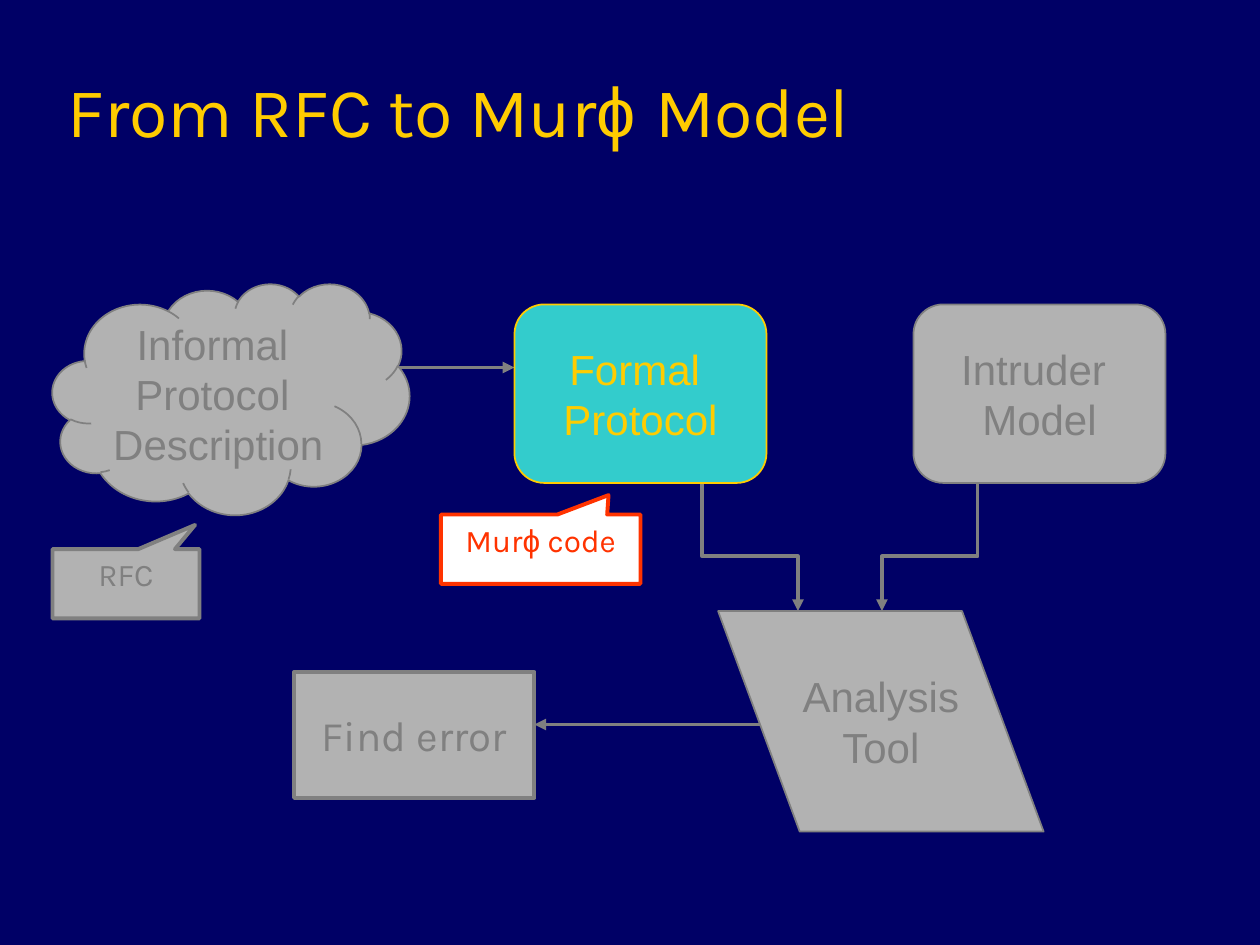
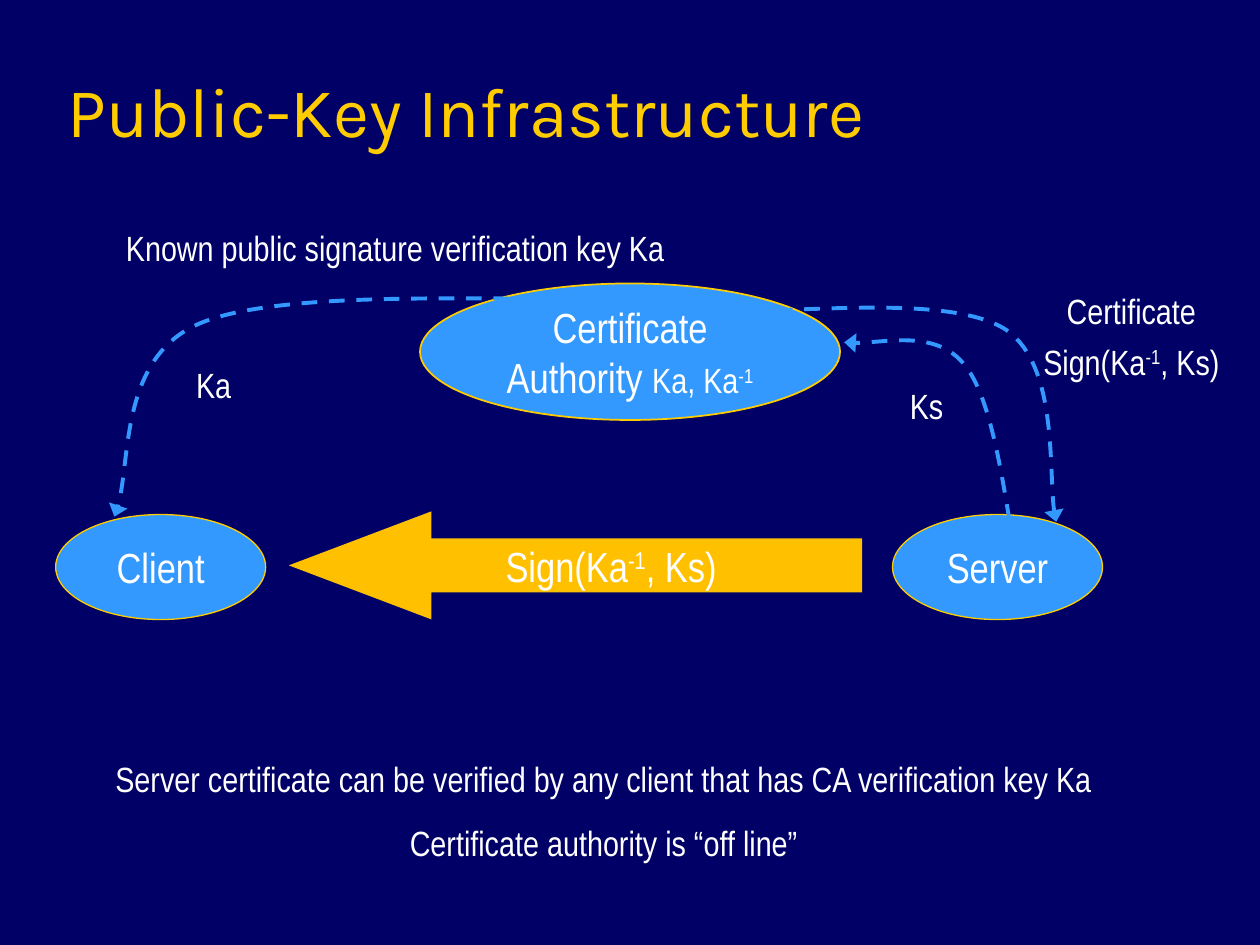
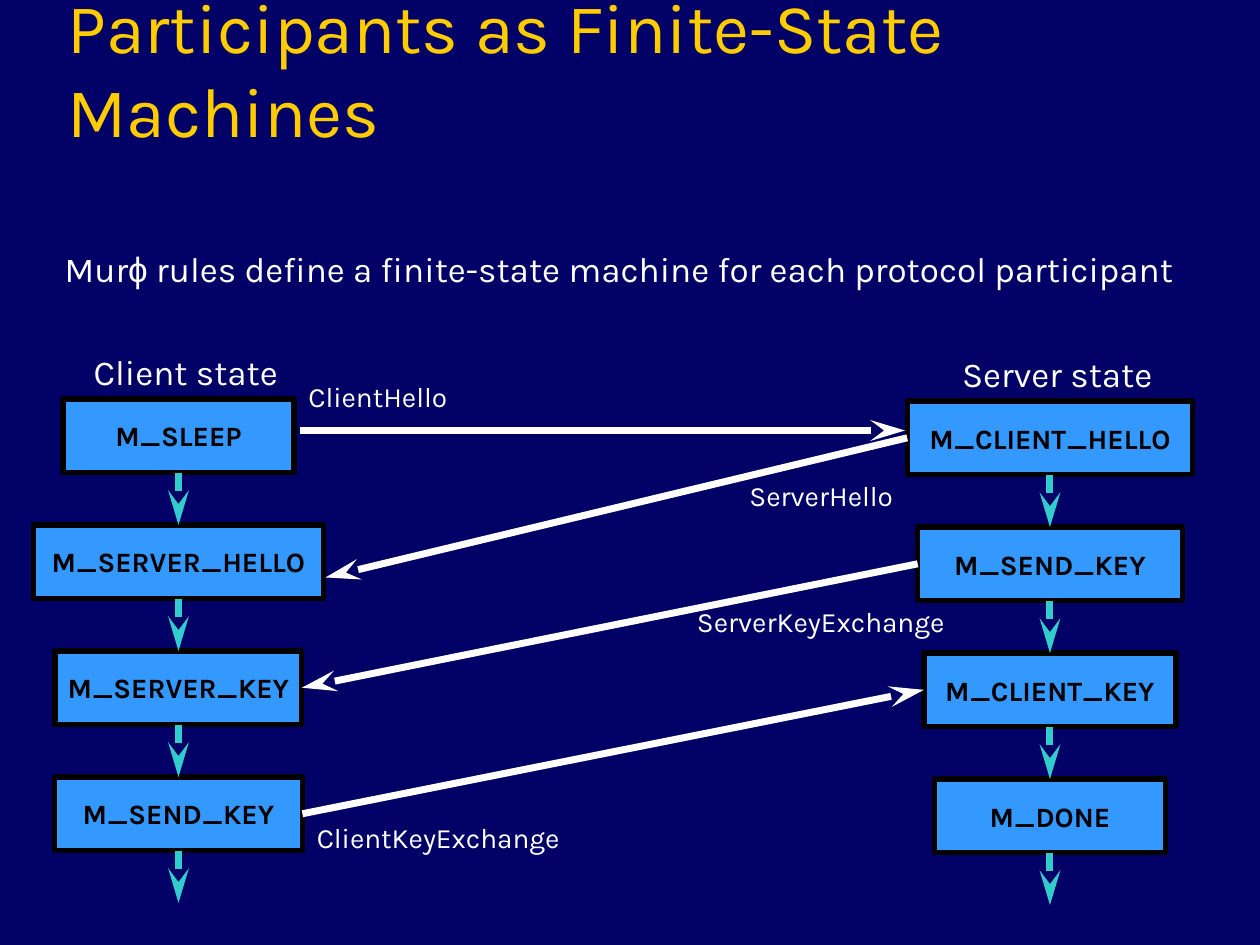
from dataclasses import dataclass, replace

from lxml.etree import SubElement
from pptx import Presentation
from pptx.dml.color import RGBColor
from pptx.enum.dml import MSO_LINE
from pptx.enum.shapes import MSO_CONNECTOR, MSO_SHAPE
from pptx.enum.text import MSO_ANCHOR, PP_ALIGN
from pptx.oxml.ns import qn
from pptx.util import Inches, Pt

COLUMNS, ROWS = 120, 90
CELL = Inches(10) // COLUMNS
TOP, LEFT, BOTTOM, RIGHT = range(4)


@dataclass(frozen=True)
class Box:
    """A region of the slide, measured in grid columns and rows."""
    left: float
    top: float
    width: float
    height: float

    def inner(self, left, top, width, height):
        return Box(self.left + left, self.top + top, width, height)

    def point(self, column, row):
        return round((self.left + column) * CELL), round((self.top + row) * CELL)

    def frame(self):
        return [round(length * CELL)
                for length in (self.left, self.top, self.width, self.height)]


@dataclass(frozen=True)
class TextStyle:
    font: str
    size: float
    colour: str
    bold: bool = False
    alignment: PP_ALIGN = PP_ALIGN.CENTER
    space_share: float = 0.25  # space before a paragraph, as a share of the size


@dataclass(frozen=True)
class ShapeStyle:
    fill: str
    line: str | None = None
    weight: float = 1


@dataclass(frozen=True)
class Run:
    text: str
    font: str | None = None
    size: float | None = None
    superscript: bool = False


@dataclass(frozen=True)
class Theme:
    background: str = "000066"
    gold: str = "FFCC00"
    amber: str = "FFC000"
    teal: str = "33CCCC"
    blue: str = "3399FF"
    red: str = "FF3300"
    grey: str = "808080"
    silver: str = "B2B2B2"
    white: str = "FFFFFF"
    black: str = "000000"
    karla: str = "Karla"
    arial: str = "Arial"
    narrow: str = "Arial Narrow"
    title_size: float = 40
    large: float = 24
    medium: float = 20
    callout: float = 18
    small: float = 16


theme = Theme()
TITLE = TextStyle(theme.karla, theme.title_size, theme.gold,
                  alignment=PP_ALIGN.LEFT, space_share=0)
DIMMED_NODE = TextStyle(theme.arial, theme.large, theme.grey, space_share=0)
ACTIVE_NODE = replace(DIMMED_NODE, colour=theme.gold)
PARTY = TextStyle(theme.narrow, theme.large, theme.white)
KEY_LABEL = replace(PARTY, size=theme.medium)
STATEMENT = replace(KEY_LABEL, space_share=0.625)
HEADING = TextStyle(theme.karla, theme.medium, theme.white)
MESSAGE = TextStyle(theme.karla, theme.small, theme.white, alignment=PP_ALIGN.LEFT)
STATE = TextStyle(theme.karla, theme.small, theme.black, bold=True)
RESULT = TextStyle(theme.karla, theme.large, theme.grey)
CALLOUT = replace(RESULT, size=theme.callout)

DIMMED = ShapeStyle(theme.silver, theme.grey)
DIMMED_THICK = replace(DIMMED, weight=2.25)

PHI = Run("ϕ", font=theme.arial)
INVERSE = Run("-1", superscript=True)
SIGNATURE = ["Sign(Ka", INVERSE, ", Ks)"]


def rgb(colour):
    return RGBColor.from_string(colour)


def write(text_frame, paragraphs, style, anchor=MSO_ANCHOR.TOP, wrap=True):
    """Fill a text frame; each paragraph is a list of strings and runs."""
    text_frame.word_wrap = wrap
    text_frame.vertical_anchor = anchor
    for index, pieces in enumerate(paragraphs):
        paragraph = text_frame.add_paragraph() if index else text_frame.paragraphs[0]
        paragraph.alignment = style.alignment
        paragraph.space_before = Pt(style.size * style.space_share)
        for item in pieces:
            piece = Run(item) if isinstance(item, str) else item
            run = paragraph.add_run()
            run.text = piece.text
            font = run.font
            font.name = piece.font or style.font
            font.size = Pt(piece.size or style.size)
            font.bold = style.bold
            font.color.rgb = rgb(style.colour)
            if piece.superscript:
                font._element.set("baseline", "30000")


def add_text(slide, box, paragraphs, style, anchor=MSO_ANCHOR.TOP):
    write(slide.shapes.add_textbox(*box.frame()).text_frame, paragraphs, style, anchor)


def add_node(slide, kind, box, paragraphs, text_style, shape_style,
             adjustments=(), anchor=MSO_ANCHOR.MIDDLE, wrap=False):
    shape = slide.shapes.add_shape(kind, *box.frame())
    shape.shadow.inherit = False
    shape.fill.solid()
    shape.fill.fore_color.rgb = rgb(shape_style.fill)
    if shape_style.line:
        shape.line.color.rgb = rgb(shape_style.line)
        shape.line.width = Pt(shape_style.weight)
    else:
        shape.line.fill.background()
    for index, value in enumerate(adjustments):
        shape.adjustments[index] = value
    write(shape.text_frame, paragraphs, text_style, anchor, wrap)
    return shape


def style_line(shape, colour, weight, ends=("tailEnd",), head="triangle",
               width="med", length="med"):
    """Set colour, weight and arrowheads of a connector or open outline."""
    shape.line.color.rgb = rgb(colour)
    shape.line.width = Pt(weight)
    line = shape.element.spPr.find(qn("a:ln"))
    for end in ends:
        SubElement(line, qn(f"a:{end}"), type=head, w=width, len=length)


def add_arrow(slide, start, end, colour, weight, **arrowhead):
    """Draw a straight arrow; an end is a point or a (shape, side) pair."""
    loose = [finish if isinstance(finish[0], int) else (0, 0) for finish in (start, end)]
    arrow = slide.shapes.add_connector(MSO_CONNECTOR.STRAIGHT, *loose[0], *loose[1])
    for finish, connect in ((start, arrow.begin_connect), (end, arrow.end_connect)):
        if not isinstance(finish[0], int):
            connect(*finish)
    style_line(arrow, colour, weight, **arrowhead)
    SubElement(arrow.element.spPr, qn("a:effectLst"))


def add_outline(slide, points):
    builder = slide.shapes.build_freeform(*points[0])
    builder.add_line_segments(points[1:], close=False)
    shape = builder.convert_to_shape()
    shape.shadow.inherit = False
    shape.fill.background()
    return shape


def add_key_curve(slide, points):
    """Draw a dashed curve through Bézier points, three for each segment."""
    shape = add_outline(slide, points)
    segments = shape.element.spPr.findall(".//" + qn("a:lnTo"))
    outline = segments[0].getparent()
    for first in range(0, len(segments), 3):
        curve = SubElement(outline, qn("a:cubicBezTo"))
        for segment in segments[first:first + 3]:
            curve.append(segment[0])
            outline.remove(segment)
    shape.line.dash_style = MSO_LINE.DASH
    style_line(shape, theme.blue, 2.25, ends=("headEnd", "tailEnd"), width="lg")


def add_titled_slide(presentation, title, title_width=102):
    slide = presentation.slides.add_slide(presentation.slide_layouts[6])
    slide.background.fill.solid()
    slide.background.fill.fore_color.rgb = rgb(theme.background)
    add_text(slide, Box(5.25, 3, title_width, 12), [title], TITLE, MSO_ANCHOR.BOTTOM)
    return slide


def add_model_flow(slide, box):
    for start, end in (((35, 20), (49, 20)), ((72.4, 54), (50.9, 54))):
        add_arrow(slide, box.point(*start), box.point(*end), theme.grey, 2.25)
    for start, end in ((66.9, 76), (93.1, 84)):
        corners = [(start, 31), (start, 38), (end, 38), (end, 43.2)]
        elbow = add_outline(slide, [box.point(*corner) for corner in corners])
        style_line(elbow, theme.grey, 2.25)

    rounded = MSO_SHAPE.FLOWCHART_ALTERNATE_PROCESS
    add_node(slide, rounded, box.inner(87, 14, 24, 17),
             [["Intruder "], ["Model"]], DIMMED_NODE, DIMMED)
    add_node(slide, rounded, box.inner(49, 14, 24, 17), [["Formal "], ["Protocol"]],
             ACTIVE_NODE, ShapeStyle(theme.teal, theme.gold))
    tool = add_node(slide, MSO_SHAPE.PARALLELOGRAM, box.inner(68.4, 43.2, 31, 21),
                    [["Analysis"], ["Tool"]], DIMMED_NODE, DIMMED, [0.37])
    tool.element.spPr.find(qn("a:xfrm")).set("flipH", "1")
    add_node(slide, MSO_SHAPE.CLOUD, box.inner(5, 12, 34, 22),
             [["Informal "], ["Protocol "], ["Description"]], DIMMED_NODE, DIMMED)
    add_node(slide, MSO_SHAPE.RECTANGLE, box.inner(28, 49, 22.9, 12),
             [["Find error"]], RESULT, DIMMED_THICK)

    callouts = [
        (box.inner(42, 34, 19, 6.6), ["Mur", PHI, " code"],
         replace(CALLOUT, colour=theme.red),
         ShapeStyle(theme.white, theme.red, 2.25), (0.34, -0.78)),
        (box.inner(5, 37.3, 14, 6.6), ["RFC"], CALLOUT, DIMMED_THICK, (0.47, -0.85)),
    ]
    for area, text, text_style, shape_style, pointer in callouts:
        add_node(slide, MSO_SHAPE.RECTANGULAR_CALLOUT, area, [text], text_style,
                 shape_style, pointer, MSO_ANCHOR.TOP, True)


def add_key_exchange(slide, box):
    authority = ShapeStyle(theme.blue, theme.gold)
    add_node(slide, MSO_SHAPE.OVAL, box.inner(40, 12, 40, 13),
             [["Certificate Authority ", Run("Ka, Ka", size=theme.medium),
               replace(INVERSE, size=theme.medium)]], PARTY, authority, wrap=True)
    for left, name in ((5.3, "Client"), (85, "Server")):
        add_node(slide, MSO_SHAPE.OVAL, box.inner(left, 34, 20, 10), [[name]],
                 PARTY, replace(authority, weight=0.75))
    add_node(slide, MSO_SHAPE.LEFT_ARROW, box.inner(27.5, 33.7, 54.6, 10.3),
             [SIGNATURE], PARTY, ShapeStyle(theme.amber), (0.5, 1.32))

    authority_to_client = [(54.6, 13.3), (48.7, 13.8), (25.9, 12.5), (18.6, 16),
                           (11.4, 19.4), (12.6, 30.4), (10.9, 34.2)]
    authority_to_server = [(100.6, 34.7), (99.7, 31.7), (100.8, 19.8), (95.8, 16.4),
                           (90.7, 13.1), (75.6, 14.9), (70.3, 14.5)]
    server_to_authority = [(96.8, 38), (96, 34.9), (94.7, 23.2), (91.9, 19.8),
                           (89.2, 16.3), (82.8, 18), (80.4, 17.6)]
    for curve in (authority_to_client, authority_to_server, server_to_authority):
        add_key_curve(slide, [box.point(*point) for point in curve])

    labels = [
        ((5, 6, 65.3, 5.3), [["Known public signature verification key Ka"]]),
        ((96.5, 12, 22.5, 10), [["Certificate"], SIGNATURE]),
        ((84.6, 21, 7.3, 5.3), [["Ks"]]),
        ((16.7, 19, 7.3, 5.3), [["Ka"]]),
    ]
    for area, paragraphs in labels:
        add_text(slide, box.inner(*area), paragraphs, KEY_LABEL)
    add_text(slide, box.inner(5, 56.6, 105, 11.3), [
        ["Server certificate can be verified by any client that has CA verification key Ka"],
        ["Certificate authority is “off line”"]], STATEMENT)


def add_state_lane(slide, box, heading, states):
    """Stack the states down the middle of the box and return their shapes."""
    middle, first_row, state_height, pitch = box.width / 2, 5.2, 7, 12
    add_text(slide, box.inner(middle - 9.8, 0, 21, 5.3), [[heading]], HEADING)
    shapes = [
        add_node(slide, MSO_SHAPE.RECTANGLE,
                 box.inner(middle - width / 2, first_row + index * pitch,
                           width, state_height),
                 [[name]], STATE, ShapeStyle(theme.blue, theme.black, 3))
        for index, (name, width) in enumerate(states)
    ]
    targets = [(shape, TOP) for shape in shapes[1:]]
    targets.append(box.point(middle, first_row + len(states) * pitch))
    for shape, target in zip(shapes, targets):
        add_arrow(slide, (shape, BOTTOM), target, theme.teal, 4,
                  head="stealth", length="lg")
    return shapes


def add_state_machines(slide, box):
    add_text(slide, box.inner(4, 8, 110, 5.3),
             [["Mur", PHI, " rules define a finite-state machine"
               " for each protocol participant"]], HEADING)
    client = add_state_lane(slide, box.inner(0, 17.8, 34, 53), "Client state", [
        ("M_SLEEP", 22), ("M_SERVER_HELLO", 27.6),
        ("M_SERVER_KEY", 23.5), ("M_SEND_KEY", 23.6)])
    server = add_state_lane(slide, box.inner(83, 18, 34, 53), "Server state", [
        ("M_CLIENT_HELLO", 27.2), ("M_SEND_KEY", 25.2),
        ("M_CLIENT_KEY", 24), ("M_DONE", 22)])
    messages = [
        ("ClientHello", box.point(28.6, 26), box.point(86.2, 26), (28.2, 20.6)),
        ("ServerHello", (server[0], LEFT), box.point(31, 40), (70.2, 30)),
        ("ServerKeyExchange", (server[1], LEFT), (client[2], RIGHT), (65.2, 42)),
        ("ClientKeyExchange", (client[3], RIGHT), (server[2], LEFT), (29, 62.6)),
    ]
    for name, start, end, corner in messages:
        add_arrow(slide, start, end, theme.white, 4, head="stealth", length="lg")
        add_text(slide, box.inner(*corner, 28.8, 4.4), [[name]], MESSAGE)


def main():
    presentation = Presentation()
    presentation.slide_width = COLUMNS * CELL
    presentation.slide_height = ROWS * CELL
    body = Box(0, 15, COLUMNS, ROWS - 15)

    slide = add_titled_slide(
        presentation, ["From RFC to Mur", replace(PHI, text="ϕ "), "Model"])
    add_model_flow(slide, body)
    slide = add_titled_slide(presentation, ["Public-Key Infrastructure"])
    add_key_exchange(slide, body)
    slide = add_titled_slide(
        presentation, ["Participants as Finite-State Machines"], title_width=110.6)
    add_state_machines(slide, body)
    presentation.save("out.pptx")


if __name__ == "__main__":
    main()
